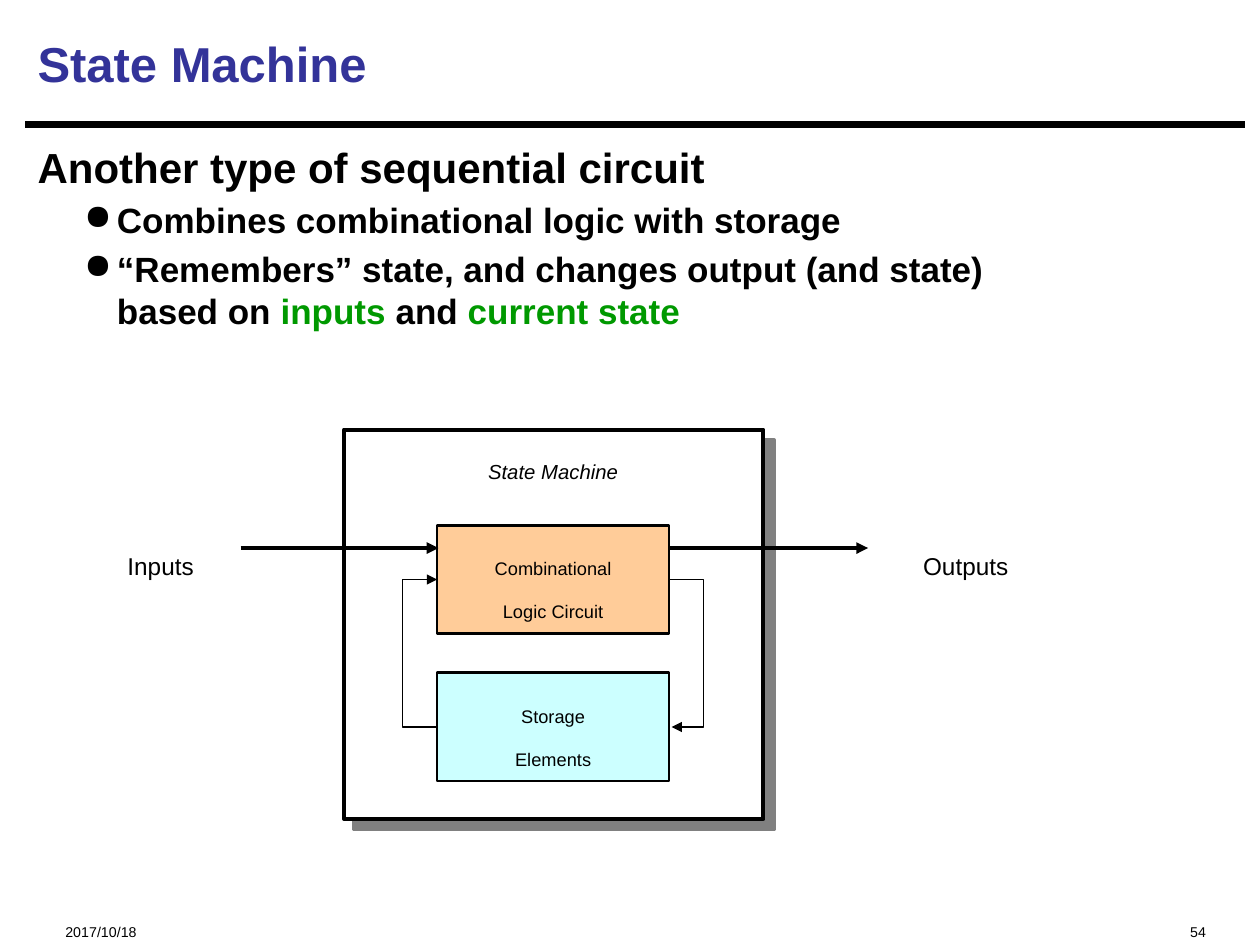
"""Build the State Machine slide with its block diagram."""
import pptx
import pptx.util
import pptx.dml.color
import pptx.enum.shapes
import pptx.enum.text
import pptx.oxml.ns
from lxml import etree

Inches = pptx.util.Inches
Pt = pptx.util.Pt
ALIGN = pptx.enum.text.PP_ALIGN
ANCHOR = pptx.enum.text.MSO_ANCHOR
SHAPE = pptx.enum.shapes.MSO_SHAPE
LINE = pptx.enum.shapes.MSO_CONNECTOR
qn = pptx.oxml.ns.qn


def rgb(value):
    return pptx.dml.color.RGBColor.from_string(value)


def add_run(p, text, size, color="000000", bold=False, italic=False, lowered=False):
    r = p.add_run()
    r.text = text
    r.font.name = "Arial"
    r.font.size = Pt(size)
    r.font.bold = bold
    r.font.italic = italic
    r.font.color.rgb = rgb(color)
    if lowered:
        r._r.get_or_add_rPr().set("baseline", "-25000")


prs = pptx.Presentation()
prs.slide_width, prs.slide_height = Inches(10), Inches(7.5)
s = prs.slides.add_slide(prs.slide_layouts[6])

rule = s.shapes.add_connector(LINE.STRAIGHT, Inches(0.2), Inches(0.99), Inches(9.88), Inches(0.99))
rule.line.color.rgb = rgb("000000")
rule.line.width = Pt(3.75)
etree.SubElement(rule._element.spPr, qn("a:effectLst"))

title = s.shapes.add_textbox(Inches(0.2), Inches(0.08), Inches(9.67), Inches(0.84))
title.text_frame.word_wrap = True
title.text_frame.vertical_anchor = ANCHOR.MIDDLE
add_run(title.text_frame.paragraphs[0], "State Machine", 28, "333399", bold=True)

body = s.shapes.add_textbox(Inches(0.2), Inches(1.07), Inches(9.67), Inches(5.99))
tf = body.text_frame
tf.word_wrap = True
add_run(tf.paragraphs[0], "Another type of sequential circuit", 24, bold=True)
bullets = [
    [("Combines combinational logic with storage", "000000")],
    [("“Remembers” state, and changes output (and state) ", "000000"), None,
     ("based on ", "000000"), ("inputs", "009900"), (" and ", "000000"),
     ("current state", "009900")],
]
for parts in bullets:
    p = tf.add_paragraph()
    p.level = 1
    pPr = p._p.get_or_add_pPr()
    pPr.set("marL", str(Inches(0.63)))
    pPr.set("indent", str(Inches(-0.26)))
    before = etree.SubElement(pPr, qn("a:spcBef"))
    etree.SubElement(before, qn("a:spcPct")).set("val", "20000")
    etree.SubElement(pPr, qn("a:buChar")).set("char", "●")
    for part in parts:
        if part is None:
            p.add_line_break()
        else:
            add_run(p, part[0], 20, part[1], bold=True)

blocks = [
    (2.73, 3.41, 3.33, 3.09, "FFFFFF", 2.25, []),
    (3.47, 4.17, 1.84, 0.86, "FFCC99", 1.5, ["Combinational", "Logic Circuit"]),
    (3.47, 5.34, 1.84, 0.86, "CCFFFF", 1.5, ["Storage", "Elements"]),
]
for x, y, w, h, fill, width, lines in blocks:
    sp = s.shapes.add_shape(SHAPE.RECTANGLE, Inches(x), Inches(y), Inches(w), Inches(h))
    sp.fill.solid()
    sp.fill.fore_color.rgb = rgb(fill)
    sp.line.color.rgb = rgb("000000")
    sp.line.width = Pt(width)
    sp.shadow.inherit = False
    if not lines:
        effects = sp._element.spPr.find(qn("a:effectLst"))
        shadow = etree.SubElement(effects, qn("a:outerShdw"), dist=str(Pt(8.5)), dir="2700000",
                                  algn="ctr", rotWithShape="0")
        etree.SubElement(shadow, qn("a:srgbClr"), val="808080")
    tf = sp.text_frame
    tf.word_wrap = False
    tf.vertical_anchor = ANCHOR.MIDDLE
    for i, text in enumerate(lines):
        p = tf.add_paragraph() if i else tf.paragraphs[0]
        p.alignment = ALIGN.CENTER
        add_run(p, text, 18, lowered=True)

labels = [
    ("2017/10/18", 0.42, 7.15, 2.5, 0.27, 14, ALIGN.LEFT, True),
    ("54", 6.67, 7.15, 3, 0.27, 14, ALIGN.RIGHT, True),
    ("State Machine", 3.4, 3.41, 1.98, 0.43, 20, ALIGN.CENTER, False),
    ("Inputs", 0.72, 4.1, 1.11, 0.5, 24, ALIGN.CENTER, False),
    ("Outputs", 6.98, 4.1, 1.37, 0.5, 24, ALIGN.CENTER, False),
]
for text, x, y, w, h, size, align, wrap in labels:
    tf = s.shapes.add_textbox(Inches(x), Inches(y), Inches(w), Inches(h)).text_frame
    tf.word_wrap = wrap
    tf.paragraphs[0].alignment = align
    add_run(tf.paragraphs[0], text, size, italic=text == "State Machine", lowered=True)

arrows = [
    (LINE.STRAIGHT, 1.91, 4.35, 3.48, 4.35, 2.25, None),
    (LINE.STRAIGHT, 5.32, 4.35, 6.89, 4.35, 2.25, None),
    (LINE.ELBOW, 5.32, 4.6, 5.33, 5.77, 0.75, 5.59),
    (LINE.ELBOW, 3.46, 5.77, 3.47, 4.6, 0.75, 3.19),
]
for kind, x1, y1, x2, y2, width, bend in arrows:
    c = s.shapes.add_connector(kind, Inches(x1), Inches(y1), Inches(x2), Inches(y2))
    c.line.color.rgb = rgb("000000")
    c.line.width = Pt(width)
    etree.SubElement(c.line._get_or_add_ln(), qn("a:tailEnd"), type="triangle")
    etree.SubElement(c._element.spPr, qn("a:effectLst"))
    if bend:
        ratio = round((bend - x1) / (x2 - x1) * 100000)
        guides = c._element.spPr.find(qn("a:prstGeom")).get_or_add_avLst()
        etree.SubElement(guides, qn("a:gd"), name="adj1", fmla=f"val {ratio}")

prs.save("out.pptx")
